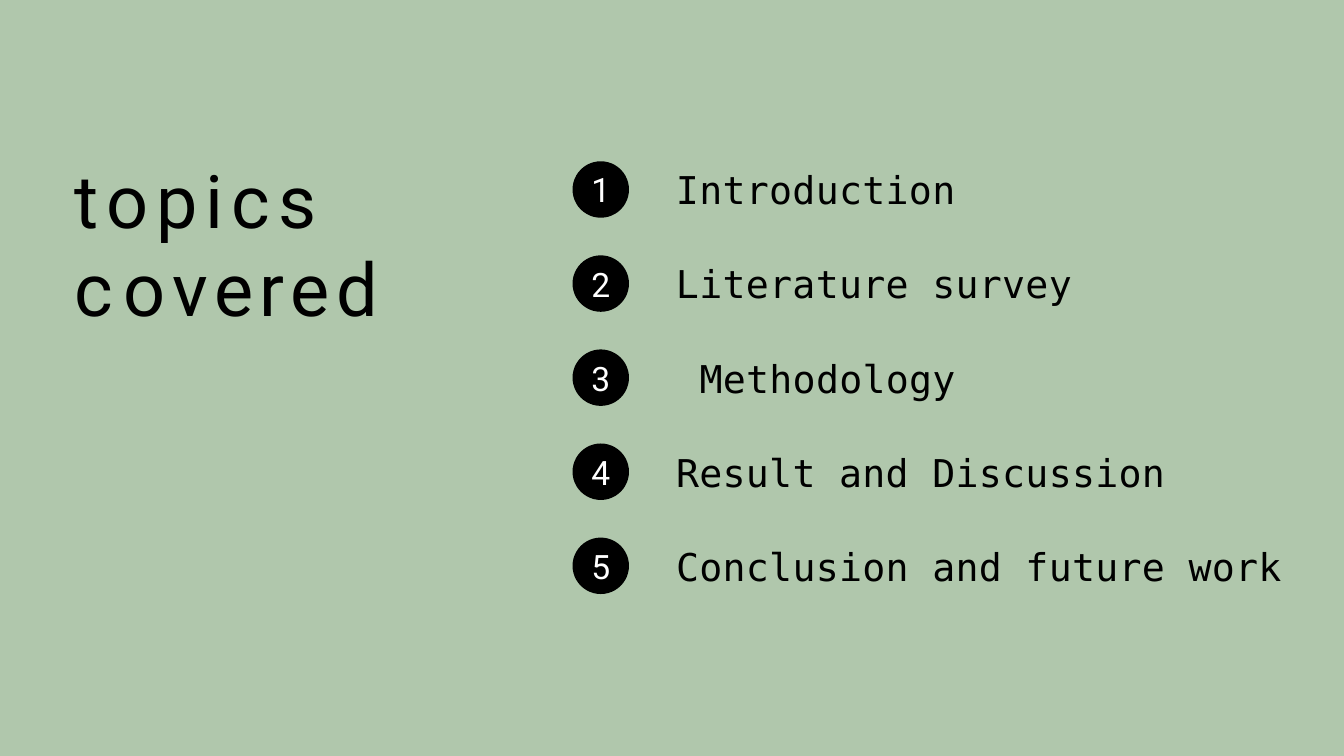
"""Build a slide that lists the five topics covered."""
from pptx import Presentation
from pptx.dml.color import RGBColor
from pptx.enum.shapes import MSO_SHAPE
from pptx.enum.text import MSO_ANCHOR, MSO_AUTO_SIZE, PP_ALIGN
from pptx.util import Inches, Pt

TITLE_SPANS = [("topics ", 8.8), ("c", 11.6), ("overe", 7.2), ("d", 8.8)]
TOPIC_BOXES = [
    {"area": (10.05, 2.47, 5.94, 3.51),
     "topics": [("Introduction", 0), ("Literature survey", 0), ("Methodology", 0.35)]},
    {"area": (10.05, 6.68, 9.08, 2.11),
     "topics": [("Result and Discussion", 0), ("Conclusion and future work", 0)]},
]

SAGE = RGBColor(0xB0, 0xC7, 0xAC)
BLACK = RGBColor(0, 0, 0)
WHITE = RGBColor(255, 255, 255)
HEADING_FONT, TOPIC_FONT = "Roboto", "DejaVu Sans Mono"
BADGE_LEFT, BADGE_TOP, BADGE_SIZE = 8.52, 2.4, 0.84
ROW_PITCH = 1.4


def place(shape, area):
    shape.left, shape.top, shape.width, shape.height = map(Inches, area)


def prepare(shape, anchor=MSO_ANCHOR.TOP, top=0.01):
    frame = shape.text_frame
    frame.margin_left = frame.margin_right = frame.margin_bottom = 0
    frame.margin_top = Inches(top)
    frame.word_wrap = True
    frame.auto_size = MSO_AUTO_SIZE.NONE
    frame.vertical_anchor = anchor
    return frame


def add_span(para, text, font, size, color, tracking):
    span = para.add_run()
    span.text = text
    span.font.name, span.font.size = font, Pt(size)
    span.font.color.rgb = color
    span.font._element.set("spc", str(round(tracking * 100)))


def add_title(page):
    title = page.shapes.title
    place(title, (1.11, 2.28, 4.71, 2.66))
    para = prepare(title, top=0.03).paragraphs[0]
    para.alignment = PP_ALIGN.LEFT
    para.line_spacing, para.space_before = Pt(94.5), Pt(2.4)
    for text, tracking in TITLE_SPANS:
        add_span(para, text, HEADING_FONT, 79, BLACK, tracking)


def add_badge(page, index):
    top = BADGE_TOP + index * ROW_PITCH
    badge = page.shapes.add_shape(
        MSO_SHAPE.OVAL, Inches(BADGE_LEFT), Inches(top), Inches(BADGE_SIZE), Inches(BADGE_SIZE))
    badge.shadow.inherit = False
    badge.fill.solid()
    badge.fill.fore_color.rgb = BLACK
    badge.line.fill.background()
    para = prepare(badge, MSO_ANCHOR.MIDDLE, 0).paragraphs[0]
    para.alignment = PP_ALIGN.CENTER
    add_span(para, str(index + 1), HEADING_FONT, 36, WHITE, 4)


def add_topics(page, area, topics):
    box = page.shapes.add_textbox(*map(Inches, area))
    frame = prepare(box)
    for row, (topic, indent) in enumerate(topics):
        para = frame.add_paragraph() if row else frame.paragraphs[0]
        if row:
            para.line_spacing = Pt(ROW_PITCH * 72)
        else:
            para.space_before = Pt(0.9)
        para._p.get_or_add_pPr().set("marL", str(Inches(0.01 + indent)))
        add_span(para, topic, TOPIC_FONT, 41, BLACK, 0.3)


def main():
    deck = Presentation()
    deck.slide_width, deck.slide_height = Inches(20), Inches(11.25)
    page = deck.slides.add_slide(deck.slide_layouts[5])
    page.background.fill.solid()
    page.background.fill.fore_color.rgb = SAGE
    add_title(page)
    for index in range(sum(len(group["topics"]) for group in TOPIC_BOXES)):
        add_badge(page, index)
    for group in TOPIC_BOXES:
        add_topics(page, group["area"], group["topics"])
    deck.save("out.pptx")


if __name__ == "__main__":
    main()
